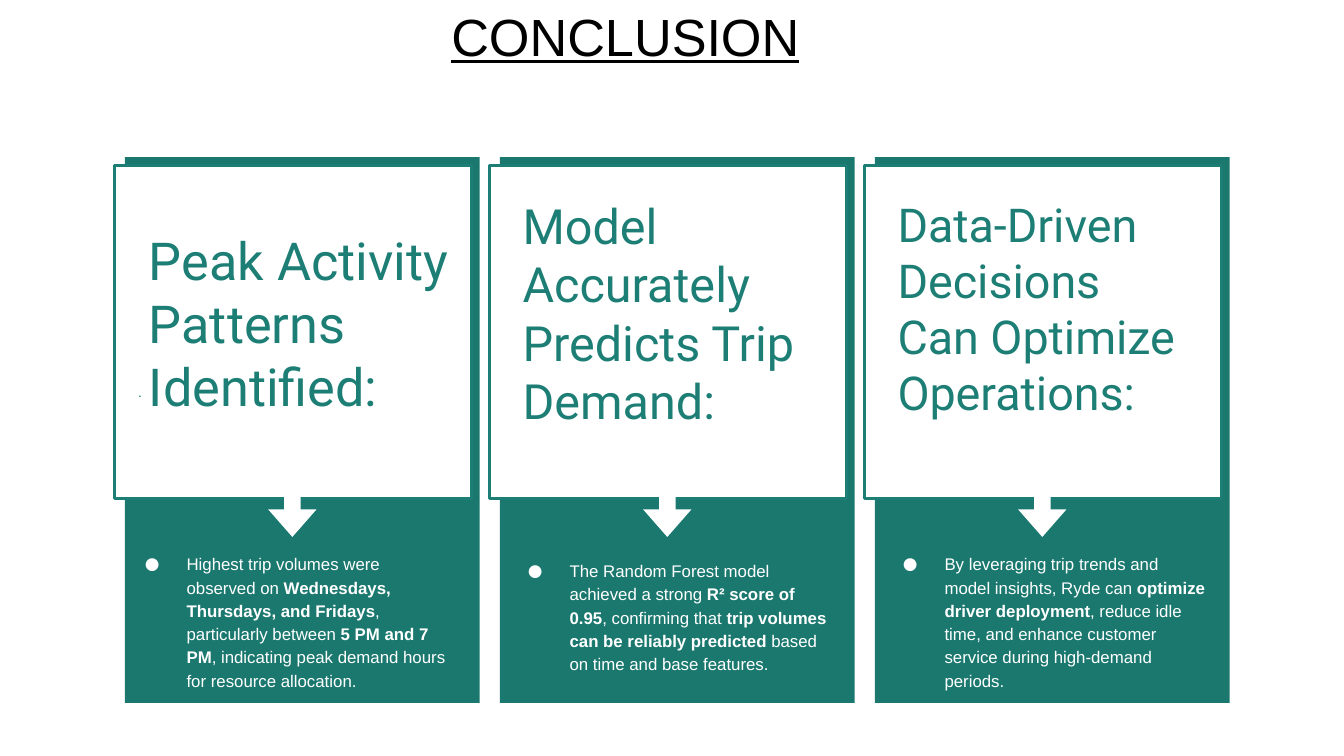
from dataclasses import dataclass

from lxml.etree import SubElement
from pptx import Presentation
from pptx.dml.color import RGBColor
from pptx.enum.shapes import MSO_SHAPE as Preset
from pptx.enum.text import MSO_ANCHOR as Anchor, MSO_AUTO_SIZE as AutoSize
from pptx.oxml.ns import qn
from pptx.util import Inches, Pt


@dataclass(frozen=True)
class Theme:
    panel: str = "1B786F"
    accent: str = "1D7E75"
    white: str = "FFFFFF"
    black: str = "000000"
    head_font: str = "Roboto"
    body_font: str = "Arial"
    title_size: int = 28
    body_size: int = 9
    dot_size: int = 8
    outline: float = 1.5
    spacing: float = 1.15


class SlideBuilder:
    def __init__(self, page, theme):
        self.page = page
        self.theme = theme
        self.target = page.shapes

    def start_group(self):
        """Send the following elements into a new group."""
        self.target = self.page.shapes.add_group_shape().shapes

    def end_group(self):
        self.target = self.page.shapes

    def shape(self, preset, at, fill, line=None):
        shape = self.target.add_shape(preset, *map(Inches, at))
        shape.shadow.inherit = False
        shape.fill.solid()
        shape.fill.fore_color.rgb = RGBColor.from_string(fill)
        if line:
            shape.line.color.rgb = RGBColor.from_string(line)
            shape.line.width = Pt(self.theme.outline)
        else:
            shape.line.fill.background()
        return shape

    def down_arrow(self, at):
        arrow = self.shape(Preset.RIGHT_ARROW, at, self.theme.white)
        arrow.rotation = 90
        arrow.adjustments[0] = 0.34
        arrow.adjustments[1] = 0.57

    def text(self, at, spans, font, size, color, underline=None, spacing=None):
        """Add a one-paragraph box from (text, bold) spans."""
        box = self.target.add_textbox(*map(Inches, at))
        frame = box.text_frame
        frame.word_wrap = True
        frame.vertical_anchor = Anchor.TOP
        frame.margin_left = frame.margin_right = Inches(0.1)
        frame.margin_top = frame.margin_bottom = Inches(0.1)
        para = frame.paragraphs[0]
        if spacing:
            para.line_spacing = spacing
        for words, bold in spans:
            span = para.add_run()
            span.text = words
            span.font.name = font
            span.font.size = Pt(size)
            span.font.bold = bold
            span.font.underline = underline
            span.font.color.rgb = RGBColor.from_string(color)
        return box

    def title(self, at, words):
        theme = self.theme
        box = self.text(at, [(words, False)], theme.body_font,
                        theme.title_size, theme.black, underline=True)
        box.text_frame.auto_size = AutoSize.SHAPE_TO_FIT_TEXT

    def heading(self, at, words, size, spacing=None):
        self.text(at, [(words, False)], self.theme.head_font, size,
                  self.theme.accent, spacing=spacing)

    def bullet(self, at, spans):
        theme = self.theme
        box = self.text(at, spans, theme.body_font, theme.body_size,
                        theme.white, spacing=theme.spacing)
        props = box.text_frame.paragraphs[0]._p.get_or_add_pPr()
        props.set("marL", str(Inches(0.5)))
        props.set("indent", str(Inches(-0.31)))
        color = SubElement(props, qn("a:buClr"))
        SubElement(color, qn("a:srgbClr"), val=theme.white)
        SubElement(props, qn("a:buSzPts"), val=str(theme.body_size * 100))
        SubElement(props, qn("a:buFont"), typeface=theme.head_font)
        SubElement(props, qn("a:buChar"), char="●")

    def card(self, left, content):
        theme = self.theme
        self.start_group()
        self.shape(Preset.RECTANGLE, (left, 1.17, 2.64, 4.06), theme.panel)
        self.shape(Preset.RECTANGLE, (left - 0.08, 1.23, 2.66, 2.48),
                   theme.white, theme.accent)
        if content.dot:
            self.heading((left, 2.75, 2.36, 0.83), content.dot,
                         theme.dot_size, theme.spacing)
        dx, top, width = content.heading_at
        self.heading((left + dx, top, width, 0.67), content.heading, content.size)
        self.down_arrow((left + 1.05, 3.62, 0.39, 0.36))
        dx, top = content.body_at
        self.bullet((left + dx, top, 2.64, 1.08), content.body)
        self.end_group()


@dataclass(frozen=True)
class Card:
    """Text of one card; horizontal offsets count from the panel's left edge."""
    heading: str
    size: int
    body: tuple
    heading_at: tuple = (0.07, 1.36, 2.36)
    body_at: tuple = (-0.08, 4)
    dot: str = ""


CARDS = (
    Card("Peak Activity Patterns Identified:", 28, (
        ("Highest trip volumes were observed on ", False),
        ("Wednesdays, Thursdays, and Fridays", True),
        (", particularly between ", False),
        ("5 PM and 7 PM", True),
        (", indicating peak demand hours for resource allocation.", False),
    ), heading_at=(0.08, 1.6, 2.49), body_at=(-0.14, 4), dot="."),
    Card("Model Accurately Predicts Trip Demand:", 26, (
        ("The Random Forest model achieved a strong ", False),
        ("R² score of 0.95", True),
        (", confirming that ", False),
        ("trip volumes can be reliably predicted", True),
        (" based on time and base features.", False),
    ), body_at=(-0.08, 4.05)),
    Card("Data-Driven Decisions Can Optimize Operations:", 25, (
        ("By leveraging trip trends and model insights, Ryde can ", False),
        ("optimize driver deployment", True),
        (", reduce idle time, and enhance customer service "
         "during high-demand periods.", False),
    )),
)
PAGE_WIDTH = 10
PAGE_HEIGHT = PAGE_WIDTH * 9 / 16
FIRST_LEFT, PITCH = 0.93, 2.79


def main():
    deck = Presentation()
    deck.slide_width, deck.slide_height = Inches(PAGE_WIDTH), Inches(PAGE_HEIGHT)
    page = deck.slides.add_slide(deck.slide_layouts[6])
    builder = SlideBuilder(page, Theme())
    for index, content in enumerate(CARDS):
        builder.card(FIRST_LEFT + index * PITCH, content)
    builder.title((3.26, -0.07, 8.74, 0.67), "CONCLUSION")
    deck.save("out.pptx")


if __name__ == "__main__":
    main()
